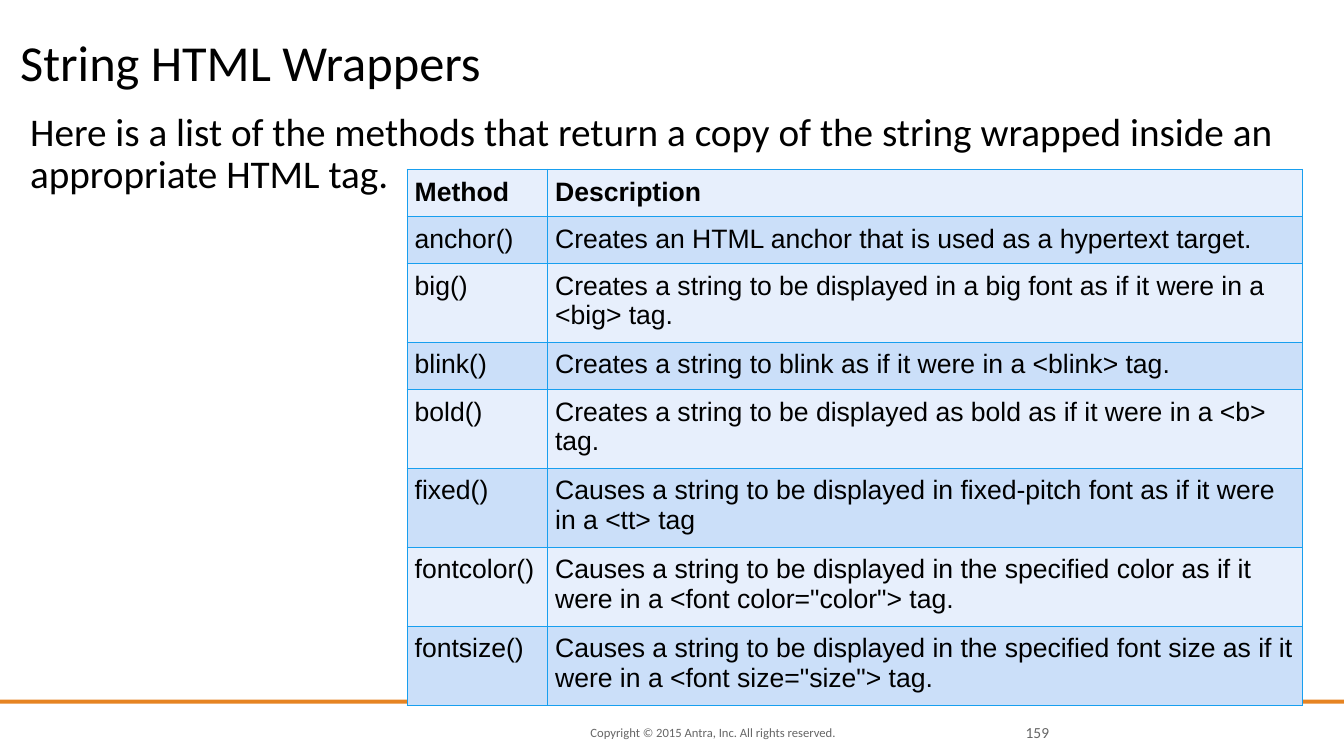
from dataclasses import dataclass

from lxml import etree
from pptx import Presentation
from pptx.dml.color import RGBColor
from pptx.enum.shapes import MSO_SHAPE
from pptx.enum.text import MSO_ANCHOR, MSO_AUTO_SIZE, PP_ALIGN
from pptx.oxml.ns import qn
from pptx.util import Cm, Pt

RECTANGLE = MSO_SHAPE.RECTANGLE
TOP, MIDDLE, BOTTOM = MSO_ANCHOR.TOP, MSO_ANCHOR.MIDDLE, MSO_ANCHOR.BOTTOM
LEFT, RIGHT, JUSTIFY = PP_ALIGN.LEFT, PP_ALIGN.RIGHT, PP_ALIGN.JUSTIFY
NO_AUTOFIT = MSO_AUTO_SIZE.NONE


@dataclass(frozen=True)
class Theme:
    ink: str = "000000"
    muted: str = "666666"
    accent: str = "E68422"
    border: str = "189FEF"
    bands: tuple = ("E7EFFC", "CBDFF9")
    text_font: str = "Calibri"
    table_font: str = "Arial"
    title_size: int = 36
    body_size: int = 28
    table_size: int = 19
    number_size: int = 11
    copyright_size: int = 9


THEME = Theme()

# Longest description that still fits on one line of its cell
LINE_CAPACITY = 60

METHODS = [
    ("Method", "Description"),
    ("anchor()", "Creates an HTML anchor that is used as a hypertext target."),
    ("big()", "Creates a string to be displayed in a big font as if it were in a <big> tag."),
    ("blink()", "Creates a string to blink as if it were in a <blink> tag."),
    ("bold()", "Creates a string to be displayed as bold as if it were in a <b> tag."),
    ("fixed()", "Causes a string to be displayed in fixed-pitch font as if it were in a <tt> tag"),
    ("fontcolor()", "Causes a string to be displayed in the specified color as if it were "
                    'in a <font color="color"> tag.'),
    ("fontsize()", "Causes a string to be displayed in the specified font size as if it were "
                   'in a <font size="size"> tag.'),
]


def apply(target, values):
    for name, value in values.items():
        setattr(target, name, value)


def write(frame, text, size, color=THEME.ink, font=THEME.text_font, bold=False,
          anchor=TOP, inset=0, **paragraph_format):
    """Fill a text frame or table cell with one formatted paragraph."""
    apply(frame, {"margin_left": inset, "margin_right": inset, "margin_top": inset,
                  "margin_bottom": inset, "vertical_anchor": anchor})
    text_frame = getattr(frame, "text_frame", frame)
    text_frame.word_wrap = True
    paragraph = text_frame.paragraphs[0]
    apply(paragraph, paragraph_format)
    run = paragraph.add_run()
    run.text = text
    apply(run.font, {"name": font, "size": Pt(size), "bold": bold})
    run.font.color.rgb = RGBColor.from_string(color)


def fill_placeholder(placeholder, box, text, **text_format):
    apply(placeholder, dict(zip(("left", "top", "width", "height"), box)))
    placeholder.text_frame.auto_size = NO_AUTOFIT
    write(placeholder.text_frame, text, alignment=LEFT, space_before=Pt(0), **text_format)


def add_heading(slide, box):
    fill_placeholder(slide.shapes.title, box, "String HTML Wrappers",
                     size=THEME.title_size, anchor=BOTTOM, line_spacing=0.8)


def add_introduction(slide, box):
    introduction = slide.placeholders[1]
    # Plain paragraph without the template's bullet
    properties = introduction.text_frame.paragraphs[0]._p.get_or_add_pPr()
    properties.set("marL", "0")
    properties.set("indent", "0")
    etree.SubElement(properties, qn("a:buNone"))
    fill_placeholder(introduction, box,
                     "Here is a list of the methods that return a copy of the string "
                     "wrapped inside an appropriate HTML tag.",
                     size=THEME.body_size, line_spacing=0.9)


def add_cell_borders(cell):
    properties = cell._tc.get_or_add_tcPr()
    for side in ("L", "R", "T", "B"):
        line = etree.SubElement(properties, qn(f"a:ln{side}"), w=str(Pt(1)))
        solid = etree.SubElement(line, qn("a:solidFill"))
        etree.SubElement(solid, qn("a:srgbClr"), val=THEME.border)


def add_methods_table(slide, left, top, width):
    # Rows are as tall as their one or two lines of text
    heights = [Cm(1.92) if len(description) > LINE_CAPACITY else Cm(1.17)
               for _, description in METHODS]
    methods = slide.shapes.add_table(len(METHODS), 2, left, top, width, sum(heights)).table
    method_width = Cm(3.54)
    methods.columns[0].width = method_width
    methods.columns[1].width = width - method_width
    for row, entry in enumerate(METHODS):
        methods.rows[row].height = heights[row]
        for column, text in enumerate(entry):
            cell = methods.cell(row, column)
            add_cell_borders(cell)
            cell.fill.solid()
            cell.fill.fore_color.rgb = RGBColor.from_string(THEME.bands[row % 2])
            write(cell, text, THEME.table_size, font=THEME.table_font, bold=row == 0,
                  inset=Cm(0.19), alignment=JUSTIFY if row and column == 0 else LEFT)


def add_footer(slide, box):
    left, top, width, height = box
    # Rule across the slide
    rule = slide.shapes.add_shape(RECTANGLE, left, top, width, Cm(0.1))
    rule.shadow.inherit = False
    rule.fill.solid()
    rule.fill.fore_color.rgb = RGBColor.from_string(THEME.accent)
    rule.line.fill.background()
    # Copyright line and page number
    for offset, note_width, text, size, alignment in (
        (Cm(14.88), Cm(7.75), "Copyright © 2015 Antra, Inc. All rights reserved.",
         THEME.copyright_size, LEFT),
        (Cm(25.37), Cm(1.07), "159", THEME.number_size, RIGHT),
    ):
        note_height = Cm(0.51)
        note = slide.shapes.add_textbox(left + offset, top + height - note_height,
                                        note_width, note_height)
        write(note.text_frame, text, size, THEME.muted, anchor=MIDDLE, alignment=alignment)


def build_methods_slide(deck):
    slide = deck.slides.add_slide(deck.slide_layouts[1])
    add_footer(slide, (0, Cm(17.63), deck.slide_width, Cm(1.09)))
    add_heading(slide, (Cm(0.51), Cm(0.53), Cm(30.91), Cm(1.78)))
    add_introduction(slide, (Cm(0.76), Cm(2.84), Cm(32.08), Cm(11)))
    add_methods_table(slide, Cm(10.26), Cm(4.27), Cm(22.57))


def main():
    deck = Presentation()
    deck.slide_width, deck.slide_height = Cm(33.87), Cm(19.05)
    build_methods_slide(deck)
    deck.save("out.pptx")


if __name__ == "__main__":
    main()
